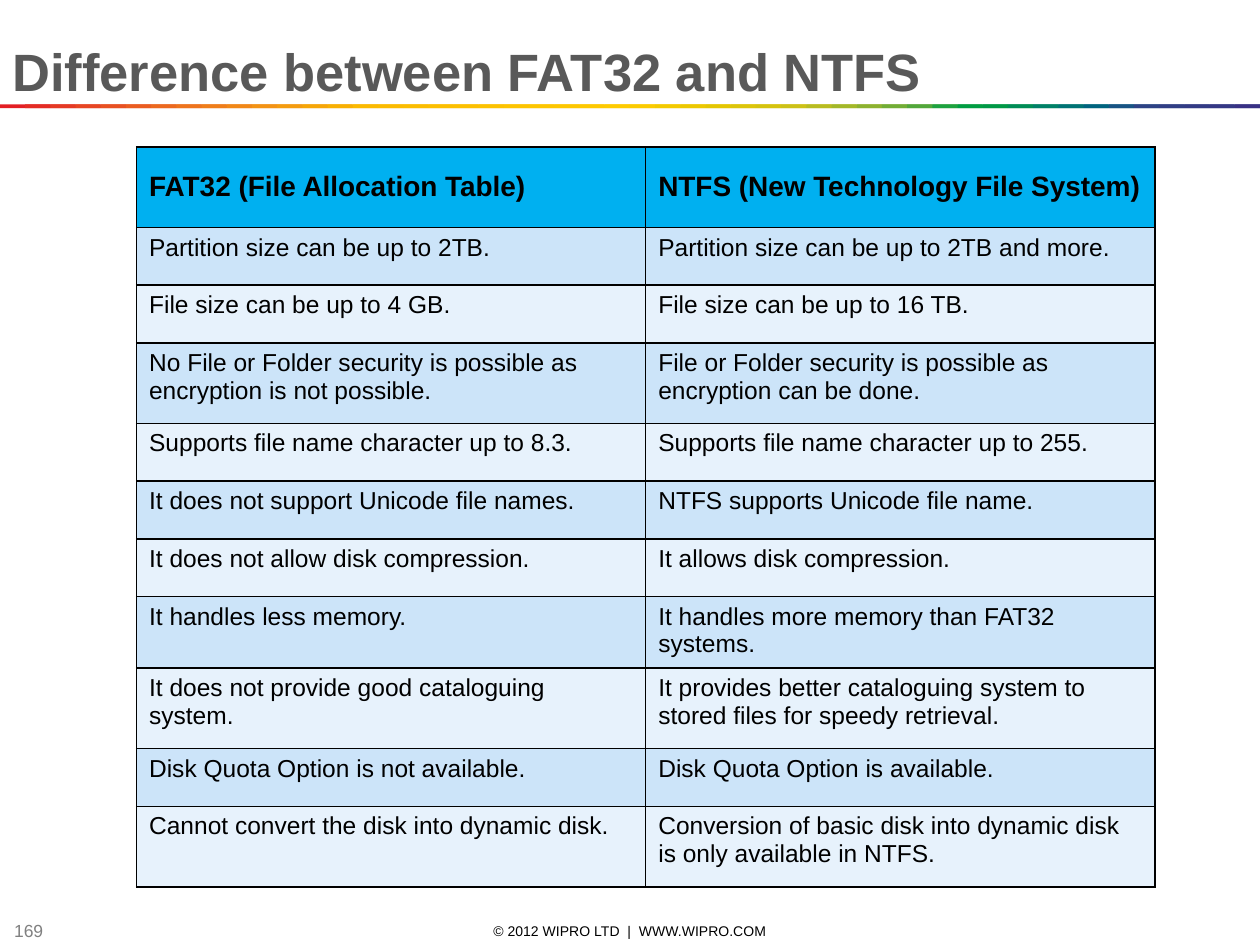
from lxml import etree
from pptx import Presentation
from pptx.dml.color import RGBColor
from pptx.enum import shapes, text
from pptx.oxml import ns
from pptx.util import Pt

FONT = "Arial"
COLOURS = {
    "title": "595959", "text": "000000", "page_number": "808080", "border": "000000",
    "header": "00B0F0", "odd_row": "CCE4F9", "even_row": "E7F2FC",
}
RAINBOW = """
    E31E24 E42C24 E53A24 E74623 E85122 EA5D21 EC691F EE741D EF7E1A F18817
    F39314 F49C0F F6A607 F8B002 FBBA00 FBBB00 FBBD00 FCBF00 FCC000 FCC200
    FDC400 FDC600 FDC700 FEC900 FECB00 FBCB00 F3CA00 ECC800 E4C602 DCC50A
    D5C30E CCC117 B8BC21 A3B829 8CB230 71AD36 51A73B 1DA240 009D43 009846
    008C57 008068 007275 00637F 185384 2E4285 313E85 333B85 353885 393185
""".split()
ROWS = [
    ("FAT32 (File Allocation Table)", "NTFS (New Technology File System)"),
    ("Partition size can be up to 2TB.", "Partition size can be up to 2TB and more."),
    ("File size can be up to 4 GB.", "File size can be up to 16 TB."),
    ("No File or Folder security is possible as encryption is not possible.",
     "File or Folder security is possible as encryption can be done."),
    ("Supports file name character up to 8.3.", "Supports file name character up to 255."),
    ("It does not support Unicode file names.", "NTFS supports Unicode file name."),
    ("It does not allow disk compression.", "It allows disk compression."),
    ("It handles less memory.", "It handles more memory than FAT32 systems."),
    ("It does not provide good cataloguing system.",
     "It provides better cataloguing system to stored files for speedy retrieval."),
    ("Disk Quota Option is not available.", "Disk Quota Option is available."),
    ("Cannot convert the disk into dynamic disk.",
     "Conversion of basic disk into dynamic disk is only available in NTFS."),
]
SHORT_ROW, TALL_ROW = 33, 46
TALL_ROWS = {0, 3, 8, 10}


def colour(name):
    return RGBColor.from_string(COLOURS[name])


def style_runs(paragraph, size, colour_name, bold=False):
    for run in paragraph.runs:
        run.font.name = FONT
        run.font.size = Pt(size)
        run.font.bold = bold
        run.font.color.rgb = colour(colour_name)


def add_label(slide, box, words, size, colour_name, anchor, bold=False):
    """Add a one-paragraph text box and return its paragraph."""
    frame = slide.shapes.add_textbox(*map(Pt, box)).text_frame
    frame.word_wrap = True
    frame.vertical_anchor = anchor
    frame.text = words
    paragraph = frame.paragraphs[0]
    style_runs(paragraph, size, colour_name, bold)
    return paragraph


def add_title(slide, box):
    paragraph = add_label(slide, box, "Difference between FAT32 and NTFS", 30, "title",
                          text.MSO_ANCHOR.BOTTOM, bold=True)
    paragraph.line_spacing = 1.5


def add_rainbow_rule(slide, box):
    """Draw overlapping bands, so that no seams show between them."""
    left, top, width, height = box
    step = width / len(RAINBOW)
    for index, fill in enumerate(RAINBOW):
        offset = index * step
        band = slide.shapes.add_shape(
            shapes.MSO_SHAPE.RECTANGLE, Pt(left + offset), Pt(top),
            Pt(min(2 * step, width - offset)), Pt(height))
        band.shadow.inherit = False
        band.fill.solid()
        band.fill.fore_color.rgb = RGBColor.from_string(fill)
        band.line.fill.background()


def add_borders(cell):
    properties = cell._tc.get_or_add_tcPr()
    for position, side in enumerate(("lnL", "lnR", "lnT", "lnB")):
        line = etree.Element(ns.qn(f"a:{side}"), w=str(Pt(1)))
        fill = etree.SubElement(line, ns.qn("a:solidFill"))
        etree.SubElement(fill, ns.qn("a:srgbClr"), val=COLOURS["border"])
        properties.insert(position, line)


def add_comparison_table(slide, box):
    table = slide.shapes.add_table(len(ROWS), 2, *map(Pt, box)).table
    for column in table.columns:
        column.width = Pt(box[2] / 2)
    for row_index, (row, entries) in enumerate(zip(table.rows, ROWS)):
        row.height = Pt(TALL_ROW if row_index in TALL_ROWS else SHORT_ROW)
        header = row_index == 0
        fill = "header" if header else "odd_row" if row_index % 2 else "even_row"
        for cell, words in zip(row.cells, entries):
            cell.text = words
            style_runs(cell.text_frame.paragraphs[0], 16 if header else 14, "text", header)
            cell.vertical_anchor = text.MSO_ANCHOR.MIDDLE if header else text.MSO_ANCHOR.TOP
            cell.fill.solid()
            cell.fill.fore_color.rgb = colour(fill)
            add_borders(cell)


def add_footer(slide, box):
    left, top, width, height = box
    middle = text.MSO_ANCHOR.MIDDLE
    notice_width = 228
    notice = add_label(
        slide, (left + (width - notice_width) / 2, top + 2.5, notice_width, 11.5),
        "© 2012 WIPRO LTD  |  WWW.WIPRO.COM", 8, "text", middle)
    notice.alignment = text.PP_ALIGN.CENTER
    add_label(slide, (left + 1, top, 41, height), "169", 10, "page_number", middle)


def main():
    presentation = Presentation()
    presentation.slide_width, presentation.slide_height = Pt(720), Pt(540)
    slide = presentation.slides.add_slide(presentation.slide_layouts[6])
    add_footer(slide, (0, 523.5, 720, 16.5))
    add_rainbow_rule(slide, (0, 59.6, 720, 2.2))
    add_title(slide, (0, 0, 720, 62))
    add_comparison_table(slide, (78, 84, 582, 422))
    presentation.save("out.pptx")


if __name__ == "__main__":
    main()
